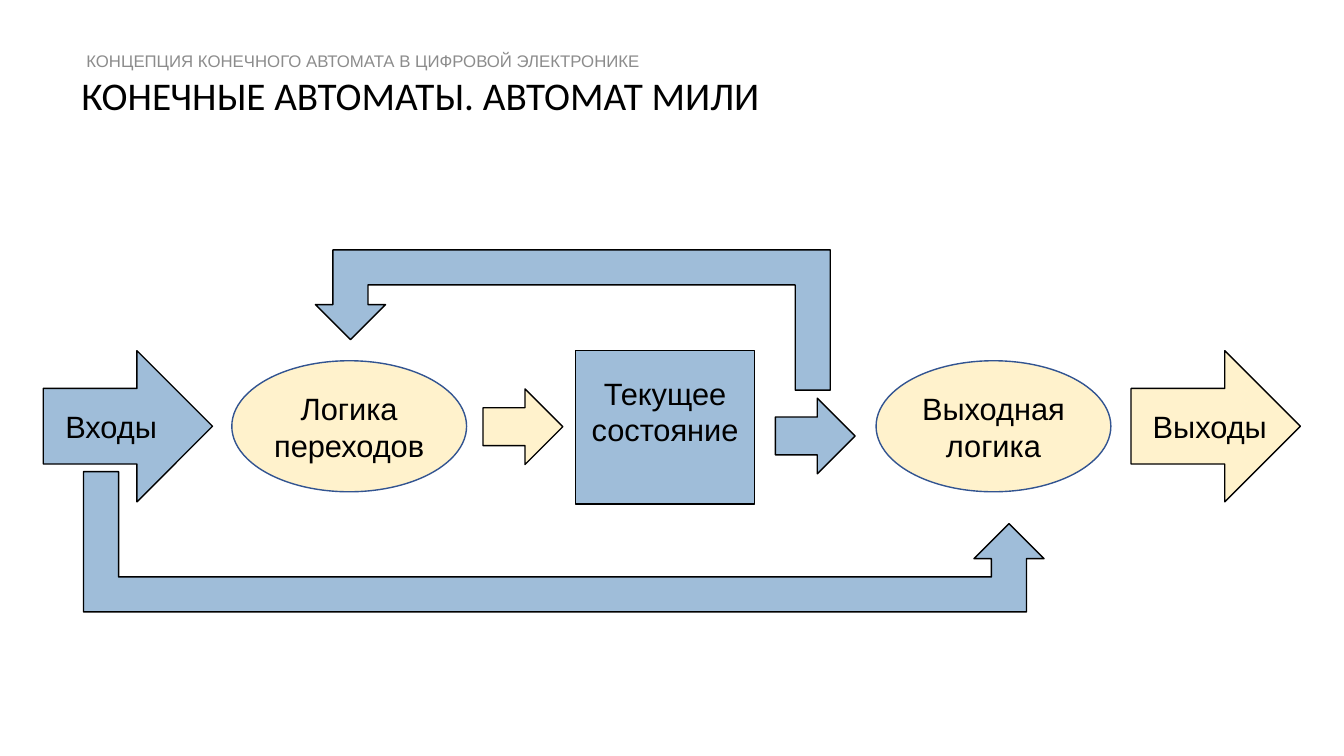
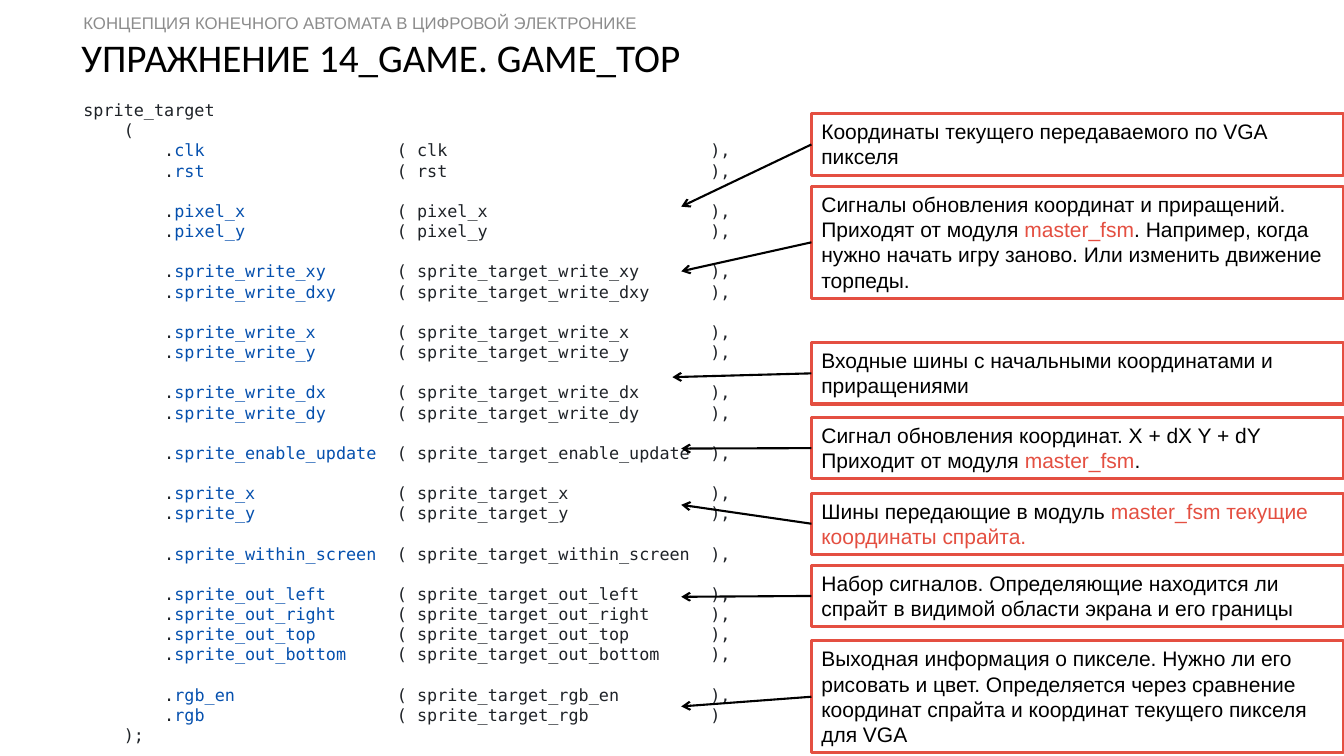
from dataclasses import dataclass

from lxml.etree import SubElement as Sub
from pptx import Presentation
from pptx.dml.color import RGBColor
from pptx.enum.shapes import MSO_CONNECTOR as Link, MSO_SHAPE as Kind
from pptx.enum.text import MSO_ANCHOR as Anchor, MSO_AUTO_SIZE as Size, PP_ALIGN as Align
from pptx.oxml.ns import qn
from pptx.util import Inches, Pt

# Grid of 32 columns by 18 rows
COLS, ROWS = 32, 18
CELL = Inches(7.5) / ROWS

# Shared colours and wording
BLACK, GREY, BLUE, CREAM = "000000", "8C8C8C", "9FBDD9", "FFF2CC"
NAVY, RED, INK, PORT = "325491", "E44F41", "1F2328", "0550AE"
TOPIC = "КОНЦЕПЦИЯ КОНЕЧНОГО АВТОМАТА В ЦИФРОВОЙ ЭЛЕКТРОНИКЕ"


@dataclass(frozen=True)
class Style:
    font: str
    size: float
    color: str = BLACK
    mark: str = RED  # colour of the parts between bars


HEAD = Style("Calibri", 28)
TOP = Style("Arial", 12, GREY)
LABEL = Style("Arial", 22)
NOTE = Style("Arial", 15)
CODE = Style("DejaVu Sans Mono", 12, INK, PORT)


@dataclass(frozen=True)
class Box:
    left: float
    top: float
    wide: float
    high: float

    def emu(self) -> list[int]:
        return [cell(v) for v in (self.left, self.top, self.wide, self.high)]


@dataclass(frozen=True)
class Node:
    kind: Kind
    box: Box
    fill: str
    text: str = ""
    line: str = BLACK
    left: float = 0  # text inset on the left
    low: float = 0  # text inset at the bottom


@dataclass(frozen=True)
class Turn:
    box: Box
    angle: int
    drop: float


@dataclass(frozen=True)
class Note:
    top: float
    rows: int
    tip: tuple[float, float]
    text: str


def cell(value: float) -> int:
    return round(value * CELL)


def color(code: str) -> RGBColor:
    return RGBColor.from_string(code)


def write(frame, text: str, style: Style, align=Align.LEFT) -> list:
    """Write lines; the parts between bars take the mark colour."""
    frame.text = text.replace("|", "")
    for para, line in zip(frame.paragraphs, text.split("\n")):
        para.alignment = align
        para.text = ""
        for i, part in enumerate(line.split("|")):
            if part:
                run = para.add_run()
                run.text = part
                run.font.name, run.font.size = style.font, Pt(style.size)
                run.font.color.rgb = color(style.mark if i % 2 else style.color)
    return list(frame.paragraphs)


def add_text(slide, box: Box, text: str, style: Style):
    shape = slide.shapes.add_textbox(*box.emu())
    shape.text_frame.word_wrap = True
    write(shape.text_frame, text, style)
    return shape


def add_head(slide, title: str, left: float, top: float) -> None:
    add_text(slide, Box(left, top, 26.38, 0.7), TOPIC, TOP)
    shape = slide.shapes.title
    shape.left, shape.top, shape.width, shape.height = Box(1.94, top + 0.74, 27.6, 1.01).emu()
    frame = shape.text_frame
    frame.margin_left = frame.margin_right = frame.margin_top = frame.margin_bottom = 0
    frame.auto_size, frame.vertical_anchor = Size.NONE, Anchor.MIDDLE
    write(frame, title, HEAD)[0].line_spacing = 0.9


def add_node(slide, node: Node):
    shape = slide.shapes.add_shape(node.kind, *node.box.emu())
    shape.shadow.inherit = False
    shape.fill.solid()
    shape.fill.fore_color.rgb = color(node.fill)
    shape.line.color.rgb, shape.line.width = color(node.line), Pt(1)
    if node.text:
        frame = shape.text_frame
        frame.margin_left, frame.margin_bottom = cell(node.left), cell(node.low)
        frame.margin_right = frame.margin_top = 0
        frame.word_wrap, frame.vertical_anchor = False, Anchor.MIDDLE
        write(frame, node.text, LABEL, Align.CENTER)
    return shape


def add_turn(slide, turn: Turn) -> None:
    shape = add_node(slide, Node(Kind.U_TURN_ARROW, turn.box, BLUE))
    for i, value in enumerate((0.25, 0.25, 0.25, 0, turn.drop)):
        shape.adjustments[i] = value
    shape.rotation = turn.angle
    shape._element.spPr.find(qn("a:xfrm")).set("flipH", "1")


def add_note(slide, note: Note) -> None:
    box = Box(19.32, note.top, 12.67, 0.26 + 0.6 * note.rows)
    shape = add_text(slide, box, note.text, NOTE)
    shape.line.color.rgb, shape.line.width = color(RED), Pt(2.25)
    x, y = map(cell, note.tip)
    line = slide.shapes.add_connector(Link.STRAIGHT, shape.left, shape.top, x, y)
    line.begin_connect(shape, 1)
    line.line.color.rgb, line.line.width = color(BLACK), Pt(1.5)
    props = line._element.spPr
    Sub(props.find(qn("a:ln")), qn("a:tailEnd"), type="arrow")
    Sub(props, qn("a:effectLst"))


# Mealy machine diagram
WIDE, TALL, STEP = (5.59, 3.12), (4.03, 3.6), (1.9, 1.8)
NODES = [
    Node(Kind.RIGHT_ARROW, Box(1.03, 8.35, *TALL), BLUE, "Входы", left=0.1),
    Node(Kind.OVAL, Box(5.52, 8.59, *WIDE), CREAM, "Логика\nпереходов", NAVY),
    Node(Kind.RIGHT_ARROW, Box(11.5, 9.26, *STEP), CREAM),
    Node(Kind.RECTANGLE, Box(13.7, 8.35, 4.27, 3.65), BLUE, "Текущее\nсостояние", low=0.77),
    Node(Kind.RIGHT_ARROW, Box(18.46, 9.48, *STEP), BLUE),
    Node(Kind.OVAL, Box(20.86, 8.59, *WIDE), CREAM, "Выходная\nлогика", NAVY),
    Node(Kind.RIGHT_ARROW, Box(26.93, 8.35, *TALL), CREAM, "Выходы", left=0.62),
]
TURNS = [
    Turn(Box(7.51, 5.95, 12.26, 3.34), 0, 0.64),
    Turn(Box(1.99, 11.23, 22.87, 3.34), 180, 0.63),
]

# Ports of the module, in groups set apart by a gap
GROUPS = [
    "clk rst",
    "pixel_x pixel_y",
    "sprite_write_xy sprite_write_dxy",
    "sprite_write_x sprite_write_y",
    "sprite_write_dx sprite_write_dy",
    "sprite_enable_update",
    "sprite_x sprite_y",
    "sprite_within_screen",
    "sprite_out_left sprite_out_right sprite_out_top sprite_out_bottom",
    "rgb_en rgb",
]
NOTES = [
    Note(2.71, 2, (16.22, 4.92), "Координаты текущего передаваемого по VGA пикселя"),
    Note(4.44, 4, (16.22, 6.46),
         "Сигналы обновления координат и приращений. Приходят от модуля |master_fsm|. "
         "Например, когда нужно начать игру заново. Или изменить движение торпеды."),
    Note(8.16, 2, (16.01, 8.98), "Входные шины с начальными координатами и приращениями"),
    Note(9.94, 2, (16.22, 10.68),
         "Сигнал обновления координат. X + dX Y + dY\nПриходит от модуля |master_fsm|."),
    Note(11.74, 2, (16.22, 12.02),
         "Шины передающие в модуль |master_fsm текущие координаты спрайта.|"),
    Note(13.46, 2, (16.22, 14.21),
         "Набор сигналов. Определяющие находится ли спрайт в видимой области экрана "
         "и его границы"),
    Note(15.26, 4, (16.22, 16.82),
         "Выходная информация о пикселе. Нужно ли его рисовать и цвет. Определяется "
         "через сравнение\nкоординат спрайта и координат текущего пикселя для VGA"),
]


def wire(port: str) -> str:
    """Name the signal that is joined to a port."""
    if port.startswith(("sprite", "rgb")):
        return "sprite_target_" + port.removeprefix("sprite_")
    return port


def add_code(slide) -> None:
    lines, gaps = ["sprite_target", "    ("], set()
    for group in GROUPS:
        gaps.add(len(lines))
        for port in group.split():
            end = ")" if port == "rgb" else "),"
            lines.append(f"        .|{port}|\t( {wire(port)}\t{end}")
    lines.append("    );")
    gaps.remove(2)
    shape = add_text(slide, Box(1.75, 2.26, 16.01, 15.74), "\n".join(lines), CODE)
    pitch, char = Pt(14.4), Pt(CODE.size * 0.602)
    for i, para in enumerate(shape.text_frame.paragraphs):
        tabs = Sub(para._p.get_or_add_pPr(), qn("a:tabLst"))
        for col in (31, 62):
            Sub(tabs, qn("a:tab"), pos=str(col * char), algn="l")
        para.line_spacing = pitch
        if i in gaps:
            para.space_before = pitch


def main() -> None:
    deck = Presentation()
    deck.slide_width, deck.slide_height = cell(COLS), cell(ROWS)
    plain = deck.slide_layouts[5]

    # Slide 1: diagram
    slide = deck.slides.add_slide(plain)
    add_head(slide, "КОНЕЧНЫЕ АВТОМАТЫ. АВТОМАТ МИЛИ", 1.82, 1.08)
    for node in NODES:
        add_node(slide, node)
    for turn in TURNS:
        add_turn(slide, turn)

    # Slide 2: code with notes
    slide = deck.slides.add_slide(plain)
    add_head(slide, "УПРАЖНЕНИЕ 14_GAME. GAME_TOP", 1.75, 0.19)
    add_code(slide)
    for note in NOTES:
        add_note(slide, note)

    deck.save("out.pptx")


if __name__ == "__main__":
    main()
